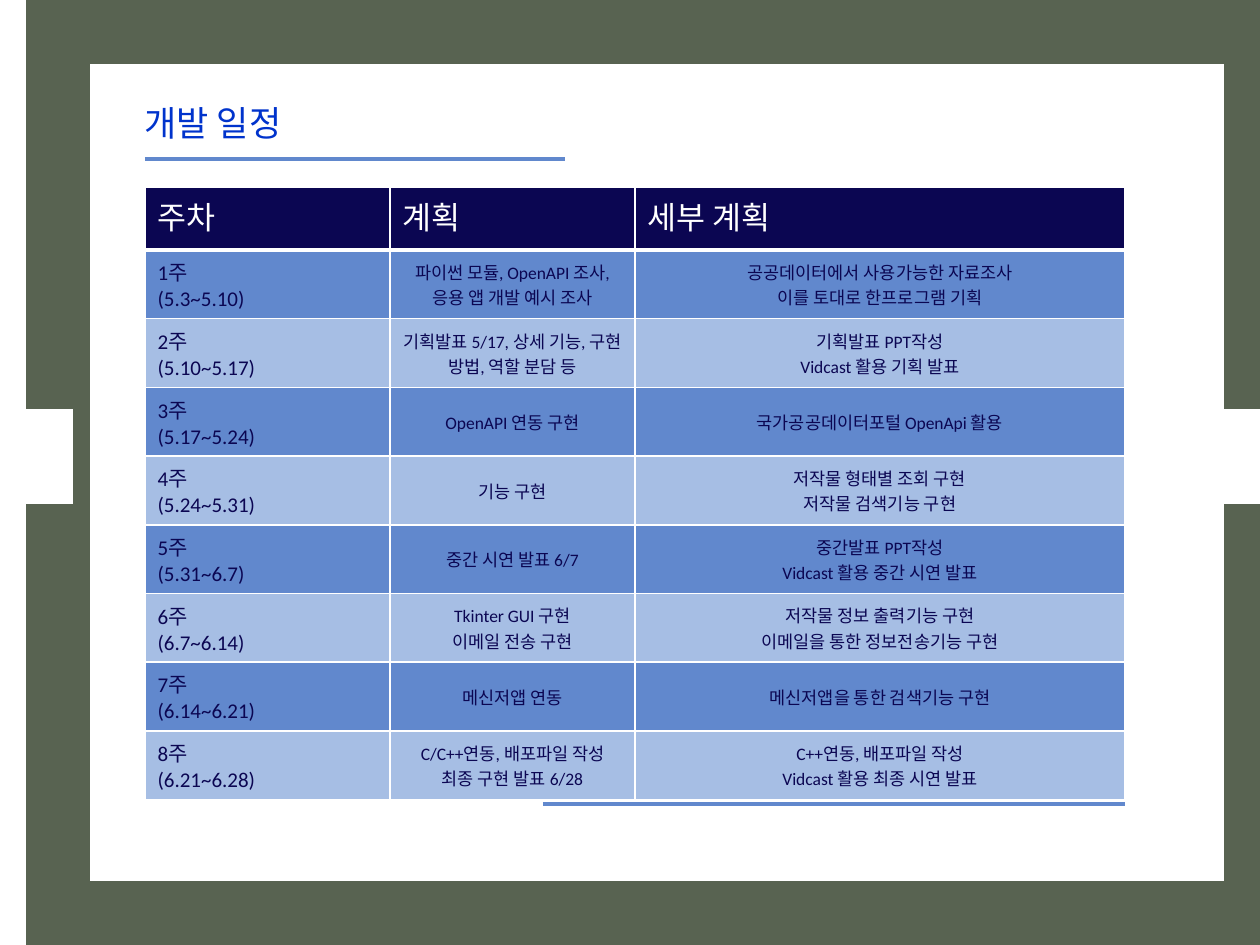
from lxml.etree import SubElement
from pptx import Presentation
from pptx.dml.color import RGBColor
from pptx.enum.shapes import MSO_CONNECTOR as CONN, MSO_SHAPE as SHAPE
from pptx.enum.text import MSO_ANCHOR as ANCHOR, MSO_AUTO_SIZE as FIT, PP_ALIGN as ALIGN
from pptx.oxml import parse_xml
from pptx.oxml.ns import nsdecls, qn
from pptx.util import Pt

PX = 914400 / 126
WHITE, OLIVE, NAVY = "FFFFFF", "586351", "0B0652"
BLUE, PALE, TITLE = "6188CD", "A6BEE4", "0033CC"

HEADER = ["주차", "계획", "세부 계획"]
WEEKS = [
    ["1주\n(5.3~5.10)", "파이썬 모듈, OpenAPI 조사,\n응용 앱 개발 예시 조사",
     "공공데이터에서 사용가능한 자료조사\n이를 토대로 한프로그램 기획"],
    ["2주\n(5.10~5.17)", "기획발표 5/17, 상세 기능, 구현 방법, 역할 분담 등",
     "기획발표 PPT작성\nVidcast 활용 기획 발표"],
    ["3주\n(5.17~5.24)", "OpenAPI 연동 구현", "국가공공데이터포털 OpenApi 활용"],
    ["4주\n(5.24~5.31)", "기능 구현", "저작물 형태별 조회 구현\n저작물 검색기능 구현"],
    ["5주\n(5.31~6.7)", "중간 시연 발표 6/7",
     "중간발표 PPT작성\nVidcast 활용 중간 시연 발표"],
    ["6주\n(6.7~6.14)", "Tkinter GUI 구현\n이메일 전송 구현",
     "저작물 정보 출력기능 구현\n이메일을 통한 정보전송기능 구현"],
    ["7주\n(6.14~6.21)", "메신저앱 연동", "메신저앱을 통한 검색기능 구현"],
    ["8주\n(6.21~6.28)", "C/C++연동, 배포파일 작성\n최종 구현 발표 6/28",
     "C++연동, 배포파일 작성\nVidcast 활용 최종 시연 발표"],
]


def px(*values):
    return [round(v * PX) for v in values]


def rgb(value):
    return RGBColor.from_string(value)


def write(tf, text, size, color, align=ALIGN.LEFT):
    tf.text = text
    for p in tf.paragraphs:
        p.alignment = align
        for r in p.runs:
            for name, value in {"name": "Calibri", "size": Pt(size)}.items():
                setattr(r.font, name, value)
            r.font.color.rgb = rgb(color)


def add_rect(s, x, y, w, h):
    sp = s.shapes.add_shape(SHAPE.RECTANGLE, *px(x, y, w, h))
    sp.shadow.inherit = False
    sp.fill.solid()
    sp.fill.fore_color.rgb = rgb(WHITE)
    sp.line.fill.background()
    return sp


def add_rule(s, x, y, w):
    line = s.shapes.add_connector(CONN.STRAIGHT, *px(x, y, x + w, y))
    line.line.color.rgb = rgb(BLUE)
    line.line.width = Pt(2)
    SubElement(line._element.spPr, qn("a:effectLst"))


def add_frame(s, x, y, w, h):
    """Thick square-cornered border with a white notch on each side."""
    frame = add_rect(s, x, y, w, h)
    frame.line.color.rgb = rgb(OLIVE)
    frame.line.width = Pt(36.75)
    SubElement(frame.line._get_or_add_ln(), qn("a:miter"), lim="800000")
    s.shapes._spTree.insert(2, frame._element)
    for left in (x - 61, x + w - 69):
        add_rect(s, left, y + 377, 76, 95)


def add_title(s, x, y, w, h, text):
    sp = s.shapes.title
    sp.left, sp.top, sp.width, sp.height = px(x, y, w, h)
    tf = sp.text_frame
    write(tf, text, 20, TITLE)
    formats = {"auto_size": FIT.NONE, "word_wrap": True, "vertical_anchor": ANCHOR.MIDDLE}
    for name, value in formats.items():
        setattr(tf, name, value)
    add_rule(s, x + 13, y + 63, 420)


def set_borders(cell, bottom):
    tc_pr = cell._tc.get_or_add_tcPr()
    for i, (side, width) in enumerate(zip("LRTB", (1, 1, 1, bottom))):
        tc_pr.insert(i, parse_xml(
            f'<a:ln{side} {nsdecls("a")} w="{Pt(width)}"><a:solidFill>'
            f'<a:srgbClr val="{WHITE}"/></a:solidFill></a:ln{side}>'))


def add_schedule(s, x, y, w, row_h):
    rows = [HEADER] + WEEKS
    table = s.shapes.add_table(len(rows), 3, *px(x, y, w, row_h * len(rows))).table
    for col, share in zip(table.columns, (4, 4, 2)):
        col.width, = px(w / share)
    for i, texts in enumerate(rows):
        fill = NAVY if i == 0 else BLUE if i % 2 else PALE
        for j, text in enumerate(texts):
            cell = table.cell(i, j)
            cell.fill.solid()
            cell.fill.fore_color.rgb = rgb(fill)
            set_borders(cell, 1 if i else 3)
            if i == 0:
                write(cell.text_frame, text, 18, WHITE)
            elif j == 0:
                write(cell.text_frame, text, 12, NAVY)
            else:
                write(cell.text_frame, text, 10, NAVY, ALIGN.CENTER)
                cell.vertical_anchor = ANCHOR.MIDDLE
    add_rule(s, x + w - 582, y + 617, 582)


def main():
    prs = Presentation()
    prs.slide_width, prs.slide_height = px(1260, 945)
    s = prs.slides.add_slide(prs.slide_layouts[5])
    add_frame(s, 58, 32, 1198, 881)
    add_title(s, 132, 96, 440, 53, "개발 일정")
    add_schedule(s, 145, 187, 980, 63)
    prs.save("out.pptx")


if __name__ == "__main__":
    main()
